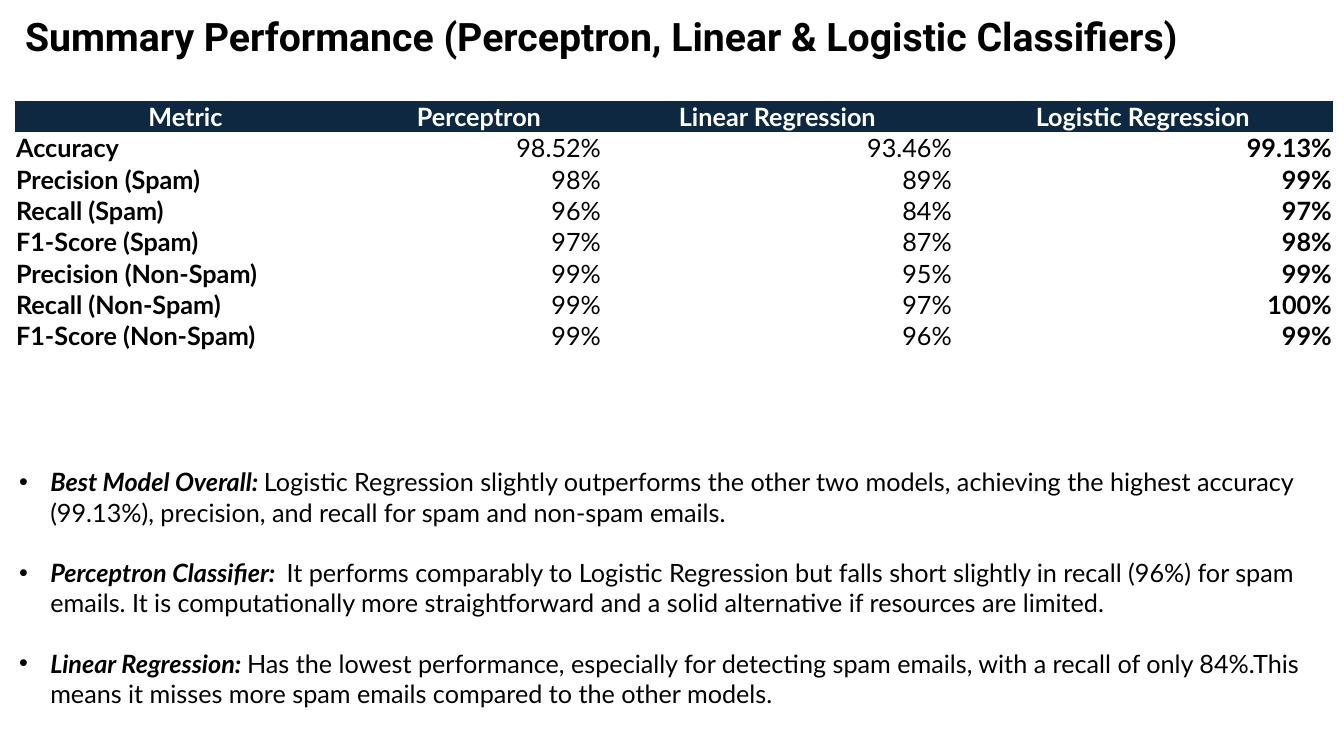
from pptx import Presentation
from pptx.dml.color import RGBColor
from pptx.enum.text import MSO_ANCHOR, MSO_AUTO_SIZE, PP_ALIGN
from pptx.oxml.ns import qn
from pptx.util import Inches, Pt
from lxml import etree

NO_STYLE_NO_GRID = "{2D5ABB26-0587-4C30-8999-92F81FD0307C}"
COL_WIDTHS = [3.38, 2.44, 3.48, 3.77]
ROW_H = 0.31
METRICS = [
    ["Metric", "Perceptron", "Linear Regression", "Logistic Regression"],
    ["Accuracy", "98.52%", "93.46%", "99.13%"],
    ["Precision (Spam)", "98%", "89%", "99%"],
    ["Recall (Spam)", "96%", "84%", "97%"],
    ["F1-Score (Spam)", "97%", "87%", "98%"],
    ["Precision (Non-Spam)", "99%", "95%", "99%"],
    ["Recall (Non-Spam)", "99%", "97%", "100%"],
    ["F1-Score (Non-Spam)", "99%", "96%", "99%"],
]
FINDINGS = [
    ("Best Model Overall: ",
     "Logistic Regression slightly outperforms the other two models, achieving the "
     "highest accuracy (99.13%), precision, and recall for spam and non-spam emails."),
    ("Perceptron Classifier:  ",
     "It performs comparably to Logistic Regression but falls short slightly in recall "
     "(96%) for spam emails. It is computationally more straightforward and a solid "
     "alternative if resources are limited."),
    ("Linear Regression: ",
     "Has the lowest performance, especially for detecting spam emails, with a recall of "
     "only 84%.This means it misses more spam emails compared to the other models."),
]


def add_run(p, text, bold=False, italic=False, color="000000", size=18, font="Lato"):
    r = p.add_run()
    r.text = text
    r.font.name, r.font.size = font, Pt(size)
    r.font.bold, r.font.italic = bold, italic
    r.font.color.rgb = RGBColor.from_string(color)


def add_text_frame(s, x, y, w, h):
    tf = s.shapes.add_textbox(Inches(x), Inches(y), Inches(w), Inches(h)).text_frame
    tf.word_wrap = True
    tf.auto_size = MSO_AUTO_SIZE.SHAPE_TO_FIT_TEXT
    return tf


prs = Presentation()
prs.slide_width, prs.slide_height = Inches(13.33), Inches(7.5)
s = prs.slides.add_slide(prs.slide_layouts[6])

# Title
tf = add_text_frame(s, 0.15, 0.07, 13.79, 0.57)
add_run(tf.paragraphs[0], "Summary Performance (Perceptron, Linear & Logistic Classifiers)",
        bold=True, size=28, font="Roboto")

# Metrics table
frame = s.shapes.add_table(len(METRICS), len(COL_WIDTHS), Inches(0.15), Inches(1),
                           Inches(sum(COL_WIDTHS)), Inches(ROW_H * len(METRICS)))
next(frame.element.iter(qn("a:tableStyleId"))).text = NO_STYLE_NO_GRID
table = frame.table
for column, width in zip(table.columns, COL_WIDTHS):
    column.width = Inches(width)
for i, row in enumerate(METRICS):
    table.rows[i].height = Inches(ROW_H)
    for j, value in enumerate(row):
        cell = table.cell(i, j)
        cell.margin_left = cell.margin_right = cell.margin_top = Inches(0.01)
        cell.margin_bottom = 0
        cell.vertical_anchor = MSO_ANCHOR.MIDDLE
        p = cell.text_frame.paragraphs[0]
        if i == 0:
            cell.fill.solid()
            cell.fill.fore_color.rgb = RGBColor.from_string("0E2841")
            p.alignment = PP_ALIGN.CENTER
            add_run(p, value, bold=True, color="FFFFFF")
        else:
            cell.fill.background()
            p.alignment = PP_ALIGN.RIGHT if j else PP_ALIGN.LEFT
            add_run(p, value, bold=j in (0, len(COL_WIDTHS) - 1))

# Findings
tf = add_text_frame(s, 0.09, 4.58, 13.18, 2.52)
for i, (lead, detail) in enumerate(FINDINGS):
    p = tf.add_paragraph() if i else tf.paragraphs[0]
    p.space_before = Pt(21.6 if i else 0)
    pPr = p._p.get_or_add_pPr()
    pPr.set("marL", str(Inches(0.31)))
    pPr.set("indent", str(-Inches(0.31)))
    etree.SubElement(pPr, qn("a:buFont")).set("typeface", "Arial")
    etree.SubElement(pPr, qn("a:buChar")).set("char", "•")
    add_run(p, lead, bold=True, italic=True)
    add_run(p, detail)

prs.save("out.pptx")
